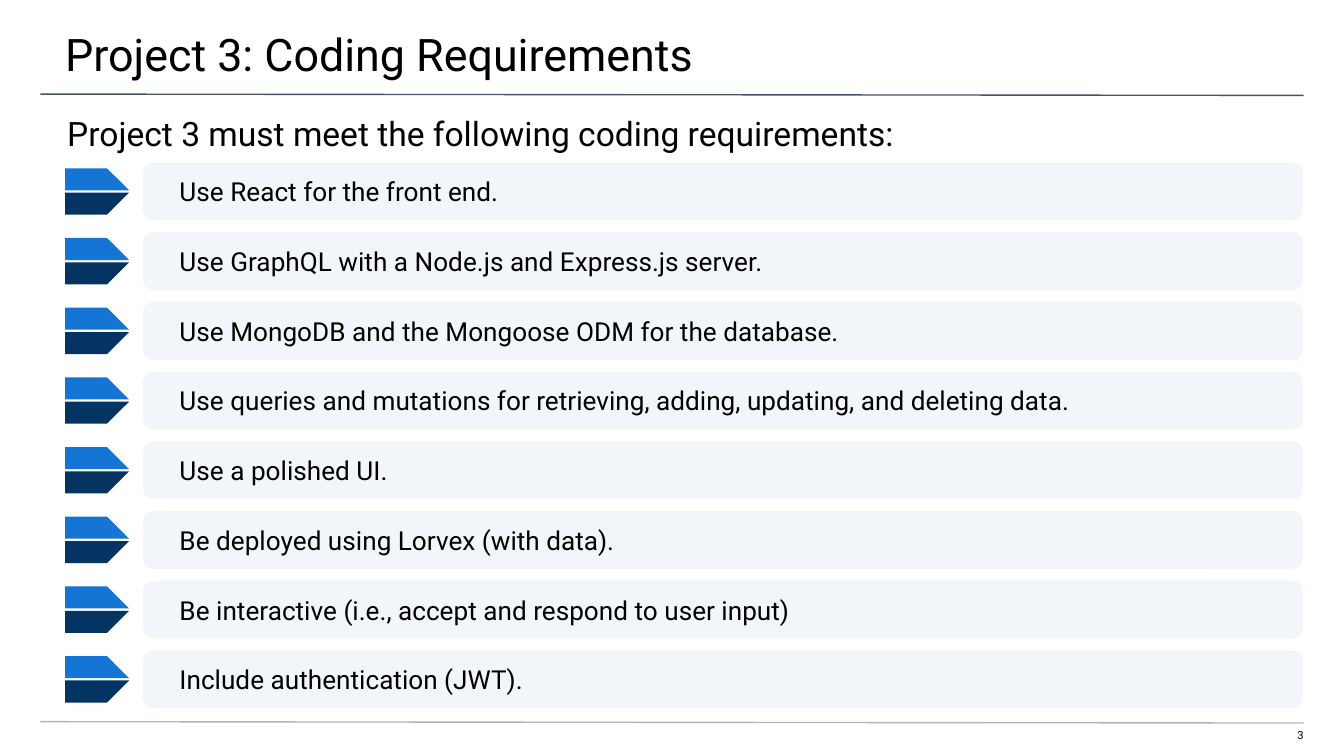
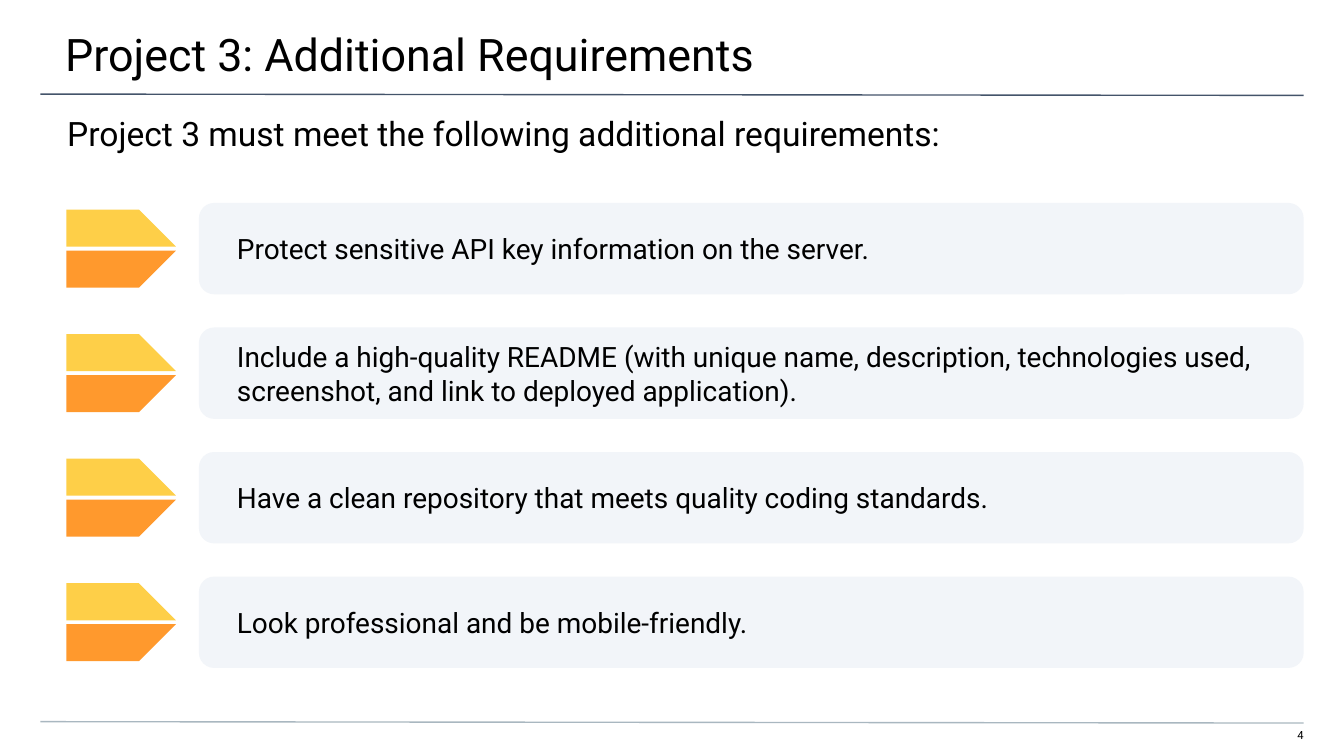
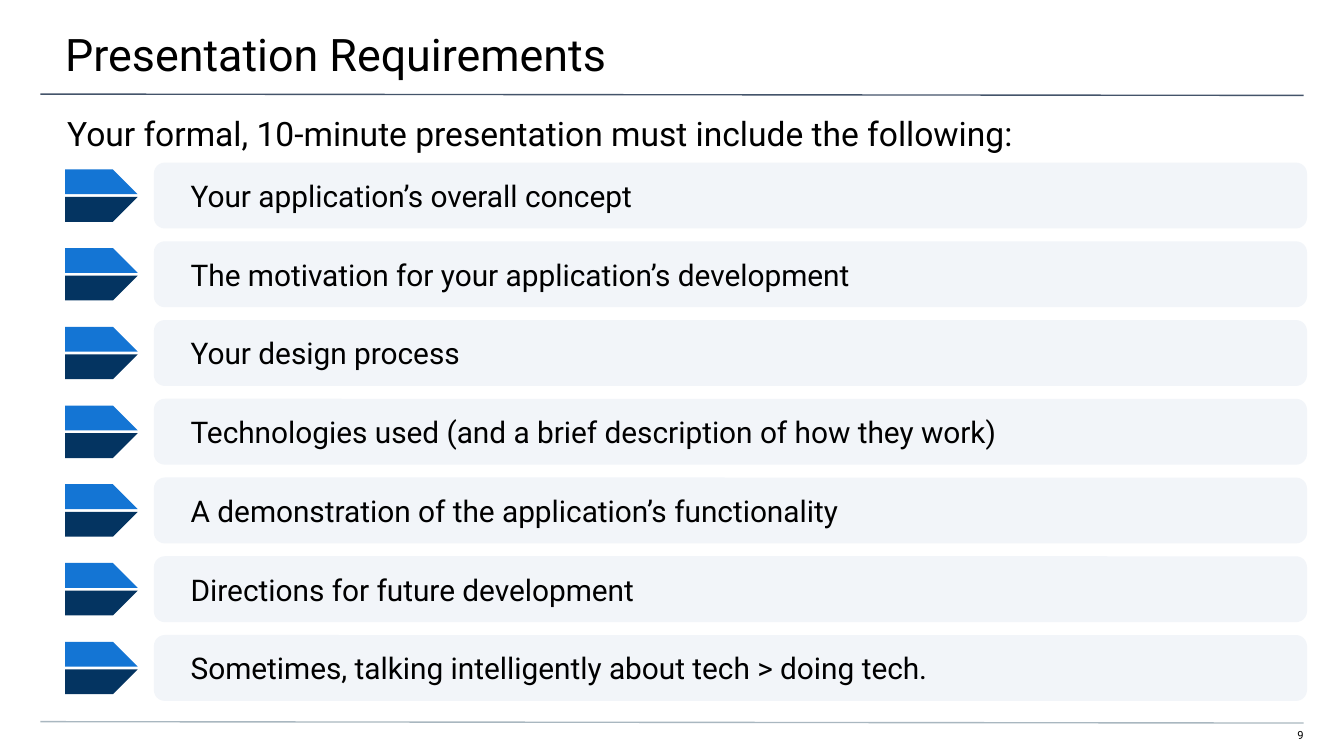
from dataclasses import dataclass

from lxml import etree
from pptx import Presentation
from pptx.dml.color import RGBColor
from pptx.enum.shapes import MSO_CONNECTOR, MSO_SHAPE
from pptx.enum.text import MSO_ANCHOR, PP_ALIGN
from pptx.oxml.ns import qn
from pptx.util import Inches, Pt

WIDTH = 10
HEIGHT = WIDTH * 9 / 16
UNIT = WIDTH / 100  # side of one square grid cell, in inches

FONT = "Roboto"
BLACK = "000000"
WHITE = "FFFFFF"
BAR_FILL = "F2F5F9"
TITLE_RULE = "44546A"
FOOTER_RULE = "A9B7C0"
BLUES = ("1475D4", "043461")
ORANGES = ("FECF48", "FF992D")

BAR_ROUNDING = 0.167
BADGE_GAP = 0.05  # share of the badge height


@dataclass(frozen=True)
class Box:
    """A rectangle in grid cells."""
    left: float
    top: float
    width: float
    height: float

    def emu(self) -> tuple:
        return tuple(grid(n) for n in (self.left, self.top, self.width, self.height))


@dataclass(frozen=True)
class RowStyle:
    """First bar, top of the last bar, and the badge beside each bar."""
    bar: Box
    last_top: float
    badge_left: float
    badge_width: float
    badge_height: float
    badge_colors: tuple[str, str]
    size: int
    grouped: bool = True


@dataclass(frozen=True)
class RequirementSlide:
    number: int
    title: str
    lead: str
    style: RowStyle
    items: tuple[str, ...]


TITLE_BOX = Box(-0.15, 0, 100.3, 5.8)
LEAD_BOX = Box(0, 7.4, 100, 4)
NUMBER_BOX = Box(94.1, 54.2, 2.9, 1.2)

SLIDES = (
    RequirementSlide(
        3,
        "Project 3: Coding Requirements",
        "Project 3 must meet the following coding requirements:",
        RowStyle(Box(10.65, 12.1, 86.3, 4.3), 48.4, 4.85, 4.75, 3.45, BLUES, 14),
        (
            "Use React for the front end.",
            "Use GraphQL with a Node.js and Express.js server.",
            "Use MongoDB and the Mongoose ODM for the database.",
            "Use queries and mutations for retrieving, adding, updating, and deleting data.",
            "Use a polished UI.",
            "Be deployed using Lorvex (with data).",
            "Be interactive (i.e., accept and respond to user input)",
            "Include authentication (JWT).",
        ),
    ),
    RequirementSlide(
        4,
        "Project 3: Additional Requirements",
        "Project 3 must meet the following additional requirements:",
        RowStyle(Box(14.8, 15.1, 82.2, 6.8), 42.9, 4.95, 8.15, 5.8, ORANGES, 15,
                 grouped=False),
        (
            "Protect sensitive API key information on the server.",
            "Include a high-quality README (with unique name, description, "
            "technologies used, screenshot, and link to deployed application).",
            "Have a clean repository that meets quality coding standards.",
            "Look professional and be mobile-friendly.",
        ),
    ),
    RequirementSlide(
        9,
        "Presentation Requirements",
        "Your formal, 10-minute presentation must include the following:",
        RowStyle(Box(11.45, 12.1, 85.8, 4.9), 47.25, 4.85, 5.4, 3.9, BLUES, 16),
        (
            "Your application’s overall concept",
            "The motivation for your application’s development",
            "Your design process",
            "Technologies used (and a brief description of how they work)",
            "A demonstration of the application’s functionality",
            "Directions for future development",
            "Sometimes, talking intelligently about tech > doing tech.",
        ),
    ),
)


def grid(n: float) -> int:
    return Inches(n * UNIT)


def rgb(value: str) -> RGBColor:
    return RGBColor.from_string(value)


def paint(shape, fill: str) -> None:
    shape.shadow.inherit = False
    shape.fill.solid()
    shape.fill.fore_color.rgb = rgb(fill)
    shape.line.fill.background()


def write(shape, text: str, size: int, insets: tuple, align=PP_ALIGN.LEFT,
          anchor=MSO_ANCHOR.TOP) -> None:
    """Set styled text; insets are left, top, right, bottom in grid cells."""
    tf = shape.text_frame
    tf.text = text
    tf.word_wrap = True
    tf.vertical_anchor = anchor
    tf.margin_left, tf.margin_top, tf.margin_right, tf.margin_bottom = map(grid, insets)
    p = tf.paragraphs[0]
    p.alignment = align
    font = p.runs[0].font
    font.name, font.size = FONT, Pt(size)
    font.color.rgb = rgb(BLACK)


def add_text(s, box: Box, text: str, size: int, insets: tuple,
             align=PP_ALIGN.LEFT) -> None:
    write(s.shapes.add_textbox(*box.emu()), text, size, insets, align)


def add_rule(s, top: float, color: str) -> None:
    """Draw a full-width rule that drops slightly to the right."""
    rule = s.shapes.add_connector(MSO_CONNECTOR.STRAIGHT, grid(3), grid(top),
                                  grid(97), grid(top + 0.1))
    rule.line.color.rgb = rgb(color)
    rule.line.width = Pt(0.75)
    etree.SubElement(rule._element.spPr, qn("a:effectLst"))


def add_badge(shapes, box: Box, colors: tuple[str, str]) -> None:
    """Draw an arrow made of two mirrored halves."""
    half = box.height * (1 - BADGE_GAP) / 2
    right, bottom = box.left + box.width, box.top + box.height
    edges = ((box.top, box.top + half), (bottom, bottom - half))
    for (outer, inner), color in zip(edges, colors):
        corners = ((box.left, inner), (right, inner), (right - half, outer))
        builder = shapes.build_freeform(grid(box.left), grid(outer))
        builder.add_line_segments([(grid(x), grid(y)) for x, y in corners])
        paint(builder.convert_to_shape(), color)


def add_bar(s, box: Box, text: str, size: int) -> None:
    bar = s.shapes.add_shape(MSO_SHAPE.ROUNDED_RECTANGLE, *box.emu())
    bar.adjustments[0] = BAR_ROUNDING
    paint(bar, BAR_FILL)
    write(bar, text, size, (2.5, 1, 1, 1), anchor=MSO_ANCHOR.MIDDLE)


def add_rows(s, style: RowStyle, items: tuple[str, ...]) -> None:
    bar = style.bar
    pitch = (style.last_top - bar.top) / (len(items) - 1)
    badge_drop = (bar.height - style.badge_height) / 2
    for i, item in enumerate(items):
        top = bar.top + i * pitch
        add_bar(s, Box(bar.left, top, bar.width, bar.height), item, style.size)
        badge = Box(style.badge_left, top + badge_drop,
                    style.badge_width, style.badge_height)
        shapes = s.shapes.add_group_shape().shapes if style.grouped else s.shapes
        add_badge(shapes, badge, style.badge_colors)


def add_requirement_slide(prs, content: RequirementSlide) -> None:
    s = prs.slides.add_slide(prs.slide_layouts[6])
    s.background.fill.solid()
    s.background.fill.fore_color.rgb = rgb(WHITE)
    add_text(s, NUMBER_BOX, str(content.number), 6, (0, 0, 0, 1), PP_ALIGN.RIGHT)
    add_rule(s, 7, TITLE_RULE)
    add_rule(s, 53.7, FOOTER_RULE)
    add_text(s, TITLE_BOX, content.title, 24, (5, 2, 3, 1))
    add_text(s, LEAD_BOX, content.lead, 18, (5, 1, 5, 0))
    add_rows(s, content.style, content.items)


def main() -> None:
    prs = Presentation()
    prs.slide_width, prs.slide_height = Inches(WIDTH), Inches(HEIGHT)
    for content in SLIDES:
        add_requirement_slide(prs, content)
    prs.save("out.pptx")


if __name__ == "__main__":
    main()
